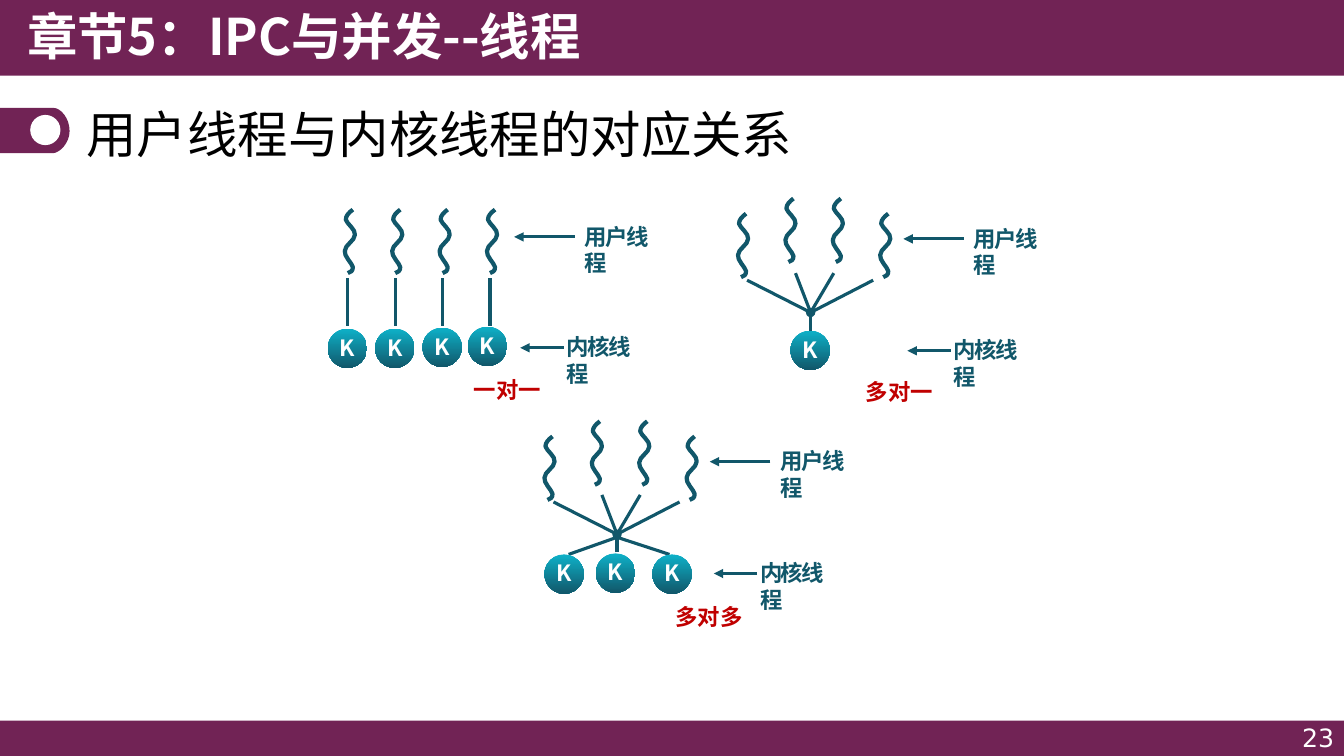
"""Build a slide on how user threads map to kernel threads."""
from lxml import etree
from pptx import Presentation
from pptx.dml.color import RGBColor
from pptx.enum.shapes import MSO_CONNECTOR, MSO_SHAPE
from pptx.enum.text import MSO_ANCHOR, MSO_AUTO_SIZE, PP_ALIGN
from pptx.oxml.ns import qn
from pptx.util import Cm, Pt

RECT, OVAL = MSO_SHAPE.RECTANGLE, MSO_SHAPE.OVAL
LINE = MSO_CONNECTOR.STRAIGHT
LEFT, MID, RIGHT = PP_ALIGN.LEFT, PP_ALIGN.CENTER, PP_ALIGN.RIGHT
TOP, CENTER = MSO_ANCHOR.TOP, MSO_ANCHOR.MIDDLE
GROW = MSO_AUTO_SIZE.SHAPE_TO_FIT_TEXT

CJK, SANS = "Noto Sans CJK SC", "DejaVu Sans"
PLUM, WHITE, BLACK = "712355", "FFFFFF", "000000"
TEAL, CYAN, RED = "11576A", "0EB1C8", "C00000"

CHAPTER = "章节5：IPC与并发--线程"
TITLE = "用户线程与内核线程的对应关系"
NUMBER = "23"
USER, KERNEL = "用户线程", "内核线程"

WIDE, HIGH = 13.33, 7.5
STEP, BALL = 0.47, 0.39
BARS = [(0, 7.15, WIDE, 0.36), (0, 0, WIDE, 0.75)]
BADGE = [(0, 1.07), (0.53, 1.07), (0.6, 1.07), (0.69, 1.17), (0.69, 1.3),
         (0.69, 1.42), (0.59, 1.52), (0.52, 1.52), (0, 1.52)]
WAVE = [(0.09, 0), (0.05, 0.03), (0.02, 0.06), (0.02, 0.1),
        (0.03, 0.14), (0.12, 0.2), (0.11, 0.25), (0.11, 0.31),
        (0.01, 0.35), (0.01, 0.41), (0, 0.46), (0.08, 0.53),
        (0.09, 0.57), (0.09, 0.61), (0.07, 0.62), (0.04, 0.63)]
FAN = [(-0.63, -0.32), (-0.15, -0.39), (0.23, -0.39), (0.62, -0.32)]
RISE = [0.15, 0, 0, 0.15]

MODELS = [
    {"name": ("一对一", 4.6, 3.68), "user": (5.7, 2.16), "kernel": (5.52, 3.26),
     "waves": (3.41, 2.08), "hub": None, "arms": [],
     "balls": [(3.25, 3.26), (3.72, 3.26), (4.19, 3.25), (4.64, 3.24)]},
    {"name": ("多对一", 8.49, 3.7), "user": (9.56, 2.18), "kernel": (9.36, 3.29),
     "waves": (7.31, 1.97), "hub": (8.04, 3.1), "arms": [],
     "balls": [(7.84, 3.28)]},
    {"name": ("多对多", 6.6, 5.93), "user": (7.64, 4.39), "kernel": (7.44, 5.5),
     "waves": (5.39, 4.18), "hub": (6.12, 5.3), "arms": [-0.48, 0.52],
     "balls": [(5.4, 5.5), (5.91, 5.49), (6.47, 5.5)]},
]


def inch(size):
    return Cm(size * 2.54)


def paint(text):
    return RGBColor.from_string(text)


def write(shape, text, size, tint, bold=False, font=CJK, align=LEFT,
          anchor=TOP, wrap=True, space=0):
    frame = shape.text_frame
    frame.text = text
    frame.word_wrap = wrap
    frame.vertical_anchor = anchor
    para = frame.paragraphs[0]
    para.alignment = align
    run = para.runs[0]
    run.font.size, run.font.bold, run.font.name = Pt(size), bold, font
    run.font.color.rgb = paint(tint)
    props = run._r.get_or_add_rPr()
    etree.SubElement(props, qn("a:ea")).set("typeface", font)
    if space:
        props.set("spc", str(space))


def label(spot, text, size, tint, **style):
    box = slide.shapes.add_textbox(*map(inch, spot))
    write(box, text, size, tint, **style)
    return box


def tag(x, y, width, text, tint, space=0):
    box = label((x, y, width, 0.37), text, 16, tint, bold=True, wrap=False, space=space)
    box.text_frame.auto_size = GROW


def block(kind, spot, tint):
    shape = slide.shapes.add_shape(kind, *map(inch, spot))
    shape.shadow.inherit = False
    shape.fill.solid()
    shape.fill.fore_color.rgb = paint(tint)
    shape.line.fill.background()
    return shape


def ball(x, y):
    shape = block(OVAL, (x, y, BALL, BALL), TEAL)
    shape.fill.gradient()
    shape.fill.gradient_angle = 270
    for stop, tint in zip(shape.fill.gradient_stops, (CYAN, TEAL)):
        stop.color.rgb = paint(tint)
    frame = shape.text_frame
    frame.margin_left = frame.margin_right = 0
    frame.margin_top, frame.margin_bottom = 0, inch(0.02)
    write(shape, "K", 16, WHITE, bold=True, align=MID, anchor=CENTER, wrap=False)


def link(start, end, tip=None):
    line = slide.shapes.add_connector(LINE, *map(inch, (*start, *end)))
    line.line.color.rgb = paint(TEAL)
    line.line.width = Pt(2.25)
    if tip:
        etree.SubElement(line.line._get_or_add_ln(), qn("a:tailEnd")).set("type", tip)
    etree.SubElement(line._element.spPr, qn("a:effectLst"))


def trace(points, close, first, last):
    spots = [(inch(x), inch(y)) for x, y in points]
    pen = slide.shapes.build_freeform(*spots[0])
    pen.add_line_segments(spots[1:], close=close)
    shape = pen.convert_to_shape()
    shape.shadow.inherit = False
    steps = list(shape._element.iter(qn("a:lnTo")))
    for k in range(first, last, 3):
        curve = etree.Element(qn("a:cubicBezTo"))
        steps[k].addprevious(curve)
        for step in steps[k:k + 3]:
            curve.append(step[0])
            step.getparent().remove(step)
    return shape


def wave(x, y):
    shape = trace([(x + a, y + b) for a, b in WAVE], False, 0, len(WAVE) - 1)
    shape.fill.background()
    shape.line.color.rgb = paint(TEAL)
    shape.line.width = Pt(3)


def model(part):
    left, top = part["waves"]
    hub = part["hub"]
    for k, rise in enumerate(RISE):
        x = left + k * STEP
        wave(x, top + (rise if hub else 0))
        if not hub:
            link((x + 0.04, top + 1.15), (x + 0.04, top + 0.68))
    if hub:
        x, y = hub
        link((x, y + 0.18), hub, "oval")
        for a, b in FAN:
            link(hub, (x + a, y + b))
        for a in part["arms"]:
            link((x, y + 0.03), (x + a, y + 0.2))
    for spot in part["balls"]:
        ball(*spot)
    for text, key, near, far in ((USER, "user", 0, -0.6), (KERNEL, "kernel", 0.07, -0.36)):
        x, y = part[key]
        link((x + near, y + 0.19), (x + far, y + 0.19), "triangle")
        tag(x, y, 1.04, text, TEAL, -100)
    name, x, y = part["name"]
    tag(x, y, 0.88, name, RED)


deck = Presentation()
deck.slide_width, deck.slide_height = inch(WIDE), inch(HIGH)
slide = deck.slides.add_slide(deck.slide_layouts[6])

for bar in BARS:
    block(RECT, bar, PLUM)
badge = trace(BADGE, True, 1, 7)
badge.fill.solid()
badge.fill.fore_color.rgb = paint(PLUM)
badge.line.fill.background()
block(OVAL, (0.3, 1.14, 0.3, 0.3), WHITE)
label((0.17, 0, 6.67, 0.77), CHAPTER, 36, WHITE, bold=True)
for part in MODELS:
    model(part)
label((0.76, 0.95, 11.81, 0.74), TITLE, 36, BLACK, anchor=CENTER)
label((10.22, 7.12, 3.11, 0.33), NUMBER, 18, WHITE, font=SANS, align=RIGHT)

deck.save("out.pptx")
